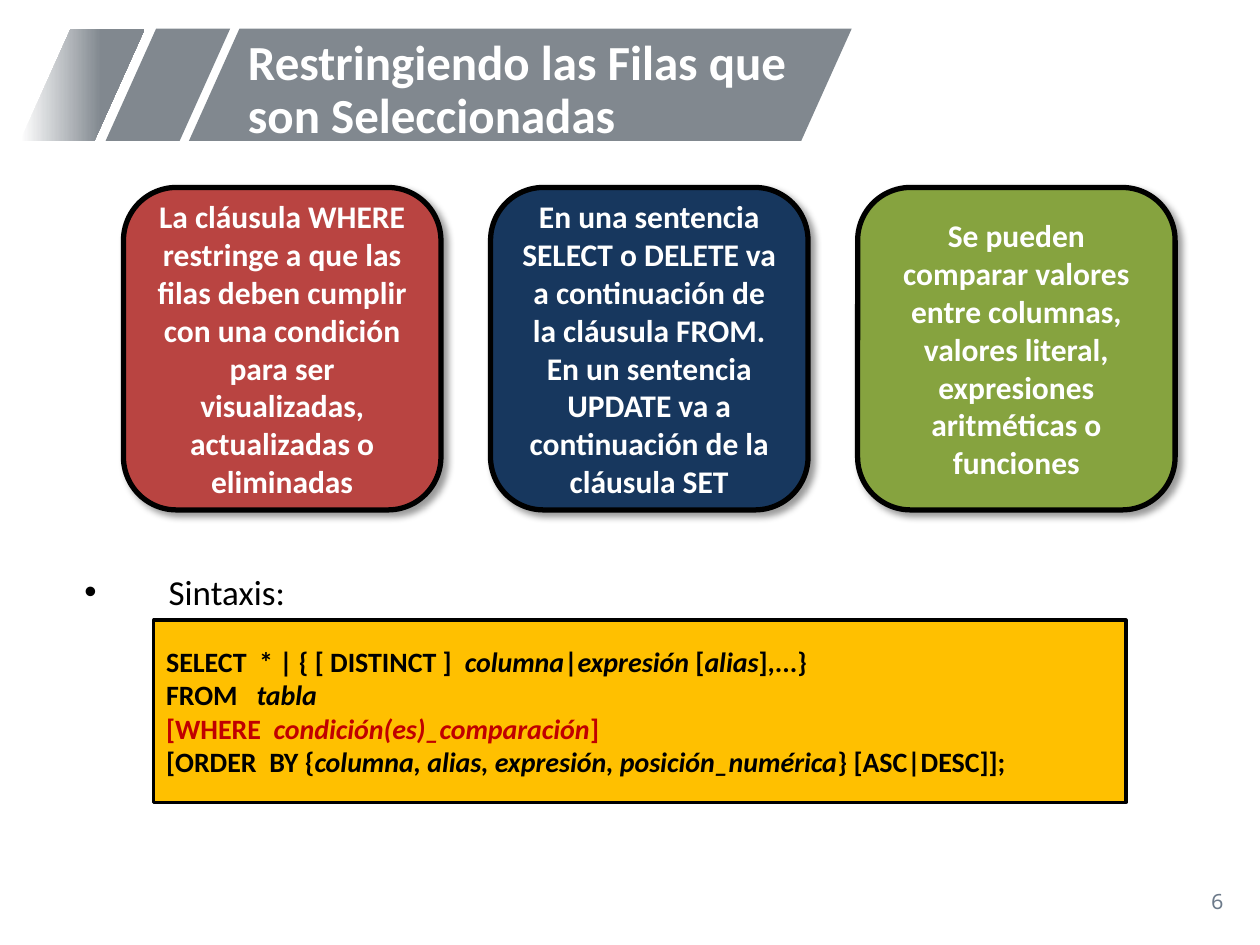
from dataclasses import dataclass

from lxml import etree
from pptx import Presentation
from pptx import util as u
from pptx.dml.color import RGBColor
from pptx.enum import shapes, text
from pptx.oxml import ns

WHITE = RGBColor(0xFF, 0xFF, 0xFF)
BLACK = RGBColor(0x00, 0x00, 0x00)
GREY = RGBColor(0x81, 0x88, 0x8F)
SLATE = RGBColor(0x6C, 0x7A, 0x8A)
RED = RGBColor(0xB9, 0x44, 0x41)
NAVY = RGBColor(0x17, 0x37, 0x5E)
GREEN = RGBColor(0x86, 0xA3, 0x3F)
AMBER = RGBColor(0xFF, 0xC0, 0x00)
CRIMSON = RGBColor(0xC0, 0x00, 0x00)

LEFT, CENTER, RIGHT = text.PP_ALIGN.LEFT, text.PP_ALIGN.CENTER, text.PP_ALIGN.RIGHT
SHAPE = shapes.MSO_SHAPE


@dataclass(frozen=True)
class Area:
    left: float
    top: float
    width: float
    height: float

    def lengths(self) -> tuple:
        return tuple(u.Cm(n) for n in (self.left, self.top, self.width, self.height))


@dataclass(frozen=True)
class Span:
    words: str
    italic: bool = False
    color: RGBColor = BLACK


@dataclass(frozen=True)
class Card:
    words: str
    fill: RGBColor


CARDS = (
    Card("La cláusula WHERE restringe a que las filas deben cumplir con una condición "
         "para ser visualizadas, actualizadas o eliminadas", RED),
    Card("En una sentencia SELECT o DELETE va a continuación de la cláusula FROM. "
         "En un sentencia UPDATE va a continuación de la cláusula SET", NAVY),
    Card("Se pueden comparar valores entre columnas, valores literal, expresiones "
         "aritméticas o funciones", GREEN),
)

SYNTAX = (
    (Span("SELECT  * | { [ DISTINCT ]  "), Span("columna", True), Span("|"),
     Span("expresión", True), Span(" ["), Span("alias", True), Span("],...}")),
    (Span("FROM   "), Span("tabla", True)),
    (Span("[WHERE  ", color=CRIMSON), Span("condición(es)_comparación", True, CRIMSON),
     Span("]", color=CRIMSON)),
    (Span("[ORDER  BY {"), Span("columna, alias, expresión, posición_numérica", True),
     Span("} [ASC|DESC]];")),
)


def write(box, lines, *, size: float, bold: bool = False, font: str = "Calibri",
          align=LEFT, spacing: float = 1.0, bullet_indent: float = 0) -> None:
    frame = box.text_frame
    frame.word_wrap = True
    frame.vertical_anchor = text.MSO_ANCHOR.MIDDLE
    for index, spans in enumerate(lines):
        para = frame.paragraphs[0] if index == 0 else frame.add_paragraph()
        para.alignment = align
        para.line_spacing = spacing
        if bullet_indent:
            props = para._p.get_or_add_pPr()
            props.set("marL", str(u.Cm(bullet_indent)))
            props.set("indent", str(-u.Cm(bullet_indent)))
            etree.SubElement(props, ns.qn("a:buFont"), typeface="Arial")
            etree.SubElement(props, ns.qn("a:buChar"), char="•")
        for span in spans:
            run = para.add_run()
            run.text = span.words
            run.font.name = font
            run.font.size = u.Pt(size)
            run.font.bold = bold
            run.font.italic = span.italic
            run.font.color.rgb = span.color


def add_panel(page, kind, area: Area, fill: RGBColor, line_width: float = 0):
    panel = page.shapes.add_shape(kind, *area.lengths())
    panel.shadow.inherit = False
    panel.fill.solid()
    panel.fill.fore_color.rgb = fill
    if line_width:
        panel.line.color.rgb = BLACK
        panel.line.width = u.Pt(line_width)
    else:
        panel.line.fill.background()
    return panel


def add_text(page, area: Area, span: Span, **style) -> None:
    write(page.shapes.add_textbox(*area.lengths()), [[span]], **style)


def add_shadow(panel) -> None:
    effects = panel._element.spPr.find(ns.qn("a:effectLst"))
    shadow = etree.SubElement(effects, ns.qn("a:outerShdw"), blurRad=str(u.Pt(4)),
                              dist=str(u.Pt(3)), dir="2700000", algn="tl", rotWithShape="0")
    color = etree.SubElement(shadow, ns.qn("a:srgbClr"), val=str(BLACK))
    etree.SubElement(color, ns.qn("a:alpha"), val="40000")


def add_banner(page) -> None:
    for left, width in ((3.81, 13.36), (2.13, 2.51), (0.41, 2.51)):
        stripe = add_panel(page, SHAPE.PARALLELOGRAM, Area(left, 0.58, width, 2.26), GREY)
        stripe.adjustments[0] = 0.45
    stripe.fill.gradient()
    stripe.fill.gradient_angle = 0
    for stop, position, color in zip(stripe.fill.gradient_stops, (0, 0.65), (WHITE, GREY)):
        stop.position = position
        stop.color.rgb = color
    add_text(page, Area(4.75, 0.71, 12.9, 2.26),
             Span("Restringiendo las Filas que son Seleccionadas", color=WHITE),
             size=28, bold=True, spacing=0.9)


def add_cards(page) -> None:
    for index, card in enumerate(CARDS):
        area = Area(2.49 + 7.4 * index, 3.78, 6.4, 6.5)
        panel = add_panel(page, SHAPE.ROUNDED_RECTANGLE, area, card.fill, 3)
        add_shadow(panel)
        write(panel, [[Span(card.words, color=WHITE)]], size=18, bold=True, align=CENTER)


def add_syntax(page) -> None:
    add_text(page, Area(1.45, 11.53, 22.86, 0.95), Span("Sintaxis:"),
             size=20, spacing=0.8, bullet_indent=1.7)
    panel = add_panel(page, SHAPE.RECTANGLE, Area(3.1, 12.5, 19.6, 3.68), AMBER, 1.75)
    write(panel, SYNTAX, size=16, bold=True)


def main() -> None:
    deck = Presentation()
    deck.slide_width, deck.slide_height = u.Cm(25.4), u.Cm(19.05)
    page = deck.slides.add_slide(deck.slide_layouts[6])
    add_banner(page)
    add_cards(page)
    add_syntax(page)
    add_text(page, Area(19.2, 17.65, 5.72, 1.02), Span("6", color=SLATE),
             size=12, font="Noto Sans Mono", align=RIGHT)
    deck.save("out.pptx")


if __name__ == "__main__":
    main()
